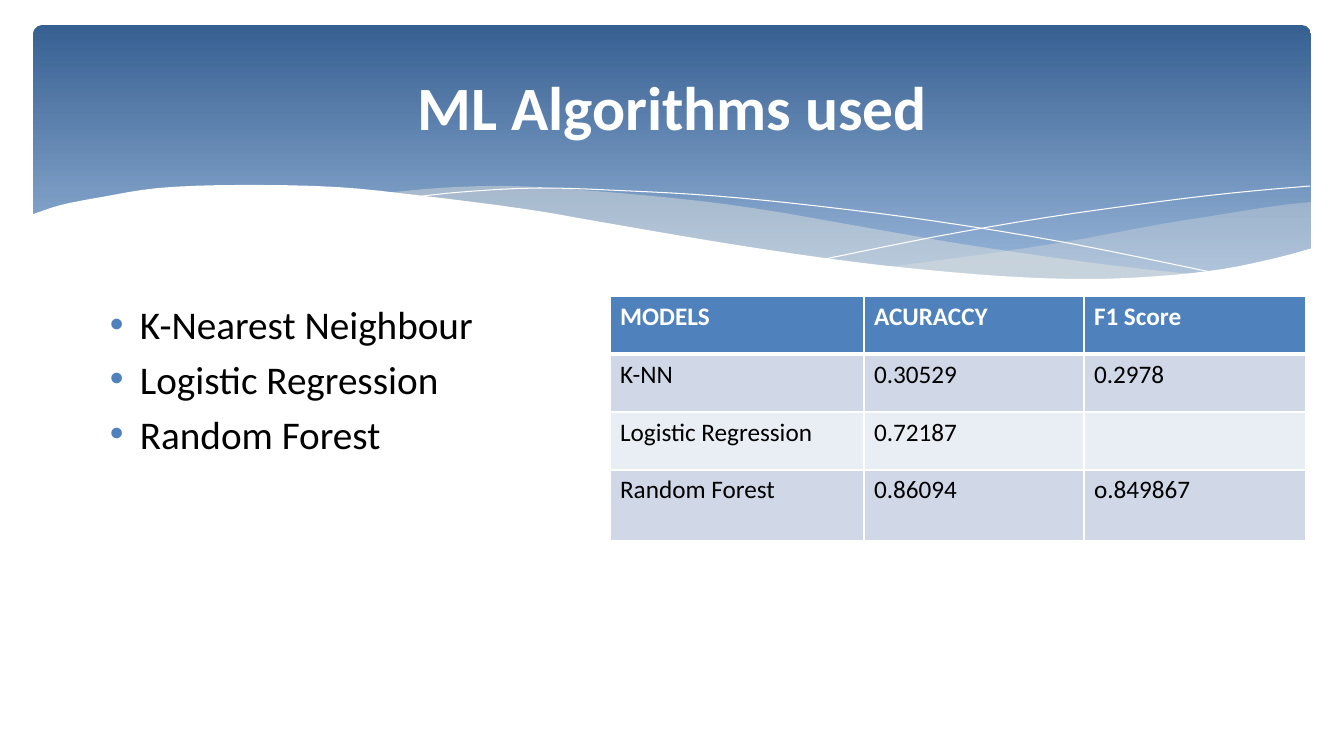
from lxml.etree import SubElement
from pptx import Presentation
from pptx.dml.color import RGBColor
from pptx.enum.shapes import MSO_SHAPE
from pptx.enum.text import MSO_ANCHOR, PP_ALIGN
from pptx.oxml.ns import qn
from pptx.util import Pt

PX = 914400 / 100.8
FONT = "Calibri"
COLORS = {
    "band_top": "376092", "band_bottom": "95B3D7", "veil": "EEECE1",
    "white": "FFFFFF", "black": "000000", "accent": "4F81BD",
    "row_dark": "D0D8E8", "row_light": "E9EDF4",
}

# Wave edges, in px from the corner of the header band
WAVE_TOP = [(-2, 190), (28, 180), (69, 172), (126, 163), (204, 160), (303, 162),
            (391, 171), (492, 184), (568, 197), (679, 216), (777, 231), (865, 242),
            (967, 251), (1054, 254), (1127, 251), (1190, 244), (1243, 233), (1280, 223)]
WAVE_BASE = [(1280, 307), (-2, 307)]
RIGHT_VEIL = [
    [(856, 242), (916, 234), (980, 225), (1049, 214), (1123, 200), (1185, 190),
     (1242, 181), (1278, 177)],
    [(1278, 224), (1234, 236), (1184, 246), (1127, 252), (1047, 255), (968, 252),
     (915, 248), (856, 242)],
]
LEFT_VEIL = [
    [(352, 168), (407, 163), (477, 161), (561, 166), (658, 175), (732, 185),
     (813, 199), (916, 217), (1009, 231), (1092, 242), (1167, 250)],
    [(1167, 250), (1094, 255), (1021, 255), (938, 251), (841, 241), (728, 225),
     (571, 199), (482, 184), (427, 176), (352, 168)],
]
FALLING_LINE = [(382, 172), (429, 167), (506, 163), (597, 166), (683, 171),
                (784, 181), (901, 196), (1035, 218), (1187, 249)]
RISING_LINE = [(792, 234), (901, 212), (1010, 193), (1131, 176), (1209, 167), (1277, 161)]

ALGORITHMS = ["K-Nearest Neighbour", "Logistic Regression", "Random Forest"]
SCORES = [
    ["MODELS", "ACURACCY", "F1 Score"],
    ["K-NN", "0.30529", "0.2978"],
    ["Logistic Regression", "0.72187", ""],
    ["Random Forest", "0.86094", "o.849867"],
]


def px(n):
    return round(n * PX)


def rgb(name):
    return RGBColor.from_string(COLORS[name])


def write(p, text, size=18, color="black", bold=False, align=PP_ALIGN.LEFT):
    p.alignment = align
    r = p.add_run()
    r.text = text
    r.font.name = FONT
    r.font.size = Pt(size)
    r.font.bold = bold
    r.font.color.rgb = rgb(color)


def smooth(points, steps=4):
    """Catmull-Rom curve through the points."""
    ends = [points[0], *points, points[-1]]
    curve = [points[0]]
    for a, b, c, d in zip(ends, ends[1:], ends[2:], ends[3:]):
        for i in range(1, steps + 1):
            t = i / steps
            curve.append(tuple(
                (2 * q + (s - o) * t + (2 * o - 5 * q + 4 * s - u) * t ** 2
                 + (3 * q - o - 3 * s + u) * t ** 3) / 2
                for o, q, s, u in zip(a, b, c, d)))
    return curve


def add_curve(slide, x, y, points, fill=None, alpha=None):
    pts = [(px(x + a), px(y + b)) for a, b in points]
    builder = slide.shapes.build_freeform(*pts[0])
    builder.add_line_segments(pts[1:], close=fill is not None)
    sp = builder.convert_to_shape()
    sp.shadow.inherit = False
    if fill is None:
        sp.fill.background()
        sp.line.color.rgb = rgb("white")
        sp.line.width = Pt(0)
        return
    sp.line.fill.background()
    sp.fill.solid()
    sp.fill.fore_color.rgb = rgb(fill)
    if alpha:
        color = sp.fill._xPr.find(qn("a:solidFill"))[0]
        SubElement(color, qn("a:alpha"), val=str(alpha * 1000))


def add_header(slide, x, y, w, h):
    # Gradient band
    sp = slide.shapes.add_shape(MSO_SHAPE.ROUNDED_RECTANGLE, px(x), px(y), px(w), px(h))
    sp.adjustments[0] = 0.034
    sp.shadow.inherit = False
    sp.line.fill.background()
    sp.fill.gradient()
    sp.fill.gradient_angle = 270
    stops = sp.fill.gradient_stops
    for stop, position, color in zip(stops, (0, 0.9), ("band_top", "band_bottom")):
        stop.position = position
        stop.color.rgb = rgb(color)
    # Veils, thin lines and the white wave
    for edges, alpha in ((RIGHT_VEIL, 29), (LEFT_VEIL, 40)):
        outline = [pt for edge in edges for pt in smooth(edge)]
        add_curve(slide, x, y, outline, fill="veil", alpha=alpha)
    for line in (FALLING_LINE, RISING_LINE):
        add_curve(slide, x, y, smooth(line))
    add_curve(slide, x, y, smooth(WAVE_TOP) + WAVE_BASE, fill="white")


def add_title(slide, x, y, w, h, text):
    sp = slide.shapes.title
    sp.left, sp.top, sp.width, sp.height = px(x), px(y), px(w), px(h)
    tf = sp.text_frame
    tf.vertical_anchor = MSO_ANCHOR.MIDDLE
    write(tf.paragraphs[0], text, size=44, color="white", bold=True, align=PP_ALIGN.CENTER)
    # Bring the title in front of the header
    slide.shapes._spTree.append(sp._element)


def add_bullets(slide, x, y, w, h, items):
    tf = slide.shapes.add_textbox(px(x), px(y), px(w), px(h)).text_frame
    tf.word_wrap = True
    for i, item in enumerate(items):
        p = tf.paragraphs[0] if i == 0 else tf.add_paragraph()
        write(p, item, size=28)
        p.space_before = Pt(5.6)
        pPr = p._p.get_or_add_pPr()
        pPr.set("marL", str(px(30)))
        pPr.set("indent", str(-px(30)))
        SubElement(SubElement(pPr, qn("a:buClr")), qn("a:srgbClr"), val=COLORS["accent"])
        SubElement(pPr, qn("a:buFont"), typeface="Arial")
        SubElement(pPr, qn("a:buChar"), char="•")


def set_borders(cell, bottom=1):
    tcPr = cell._tc.get_or_add_tcPr()
    for side, width in (("L", 1), ("R", 1), ("T", 1), ("B", bottom)):
        ln = SubElement(tcPr, qn(f"a:ln{side}"), w=str(Pt(width)))
        SubElement(SubElement(ln, qn("a:solidFill")), qn("a:srgbClr"), val=COLORS["white"])


def add_scores(slide, x, y, col_widths, row_heights, rows):
    table = slide.shapes.add_table(
        len(rows), len(col_widths), px(x), px(y),
        px(sum(col_widths)), px(sum(row_heights))).table
    for col, width in zip(table.columns, col_widths):
        col.width = px(width)
    for i, (row, height, values) in enumerate(zip(table.rows, row_heights, rows)):
        row.height = px(height)
        header = i == 0
        fill = "accent" if header else "row_dark" if i % 2 else "row_light"
        for cell, value in zip(row.cells, values):
            set_borders(cell, bottom=3 if header else 1)
            cell.fill.solid()
            cell.fill.fore_color.rgb = rgb(fill)
            if value:
                write(cell.text_frame.paragraphs[0], value,
                      color="white" if header else "black", bold=header)


def main():
    prs = Presentation()
    prs.slide_width, prs.slide_height = px(1344), px(756)
    slide = prs.slides.add_slide(prs.slide_layouts[5])
    add_header(slide, 33, 25, 1278, 272)
    add_title(slide, 68, 37, 1210, 138, "ML Algorithms used")
    add_bullets(slide, 100, 295, 561, 380, ALGORITHMS)
    add_scores(slide, 610, 296, [254, 220, 222], [58, 58, 58, 71], SCORES)
    prs.save("out.pptx")


if __name__ == "__main__":
    main()
